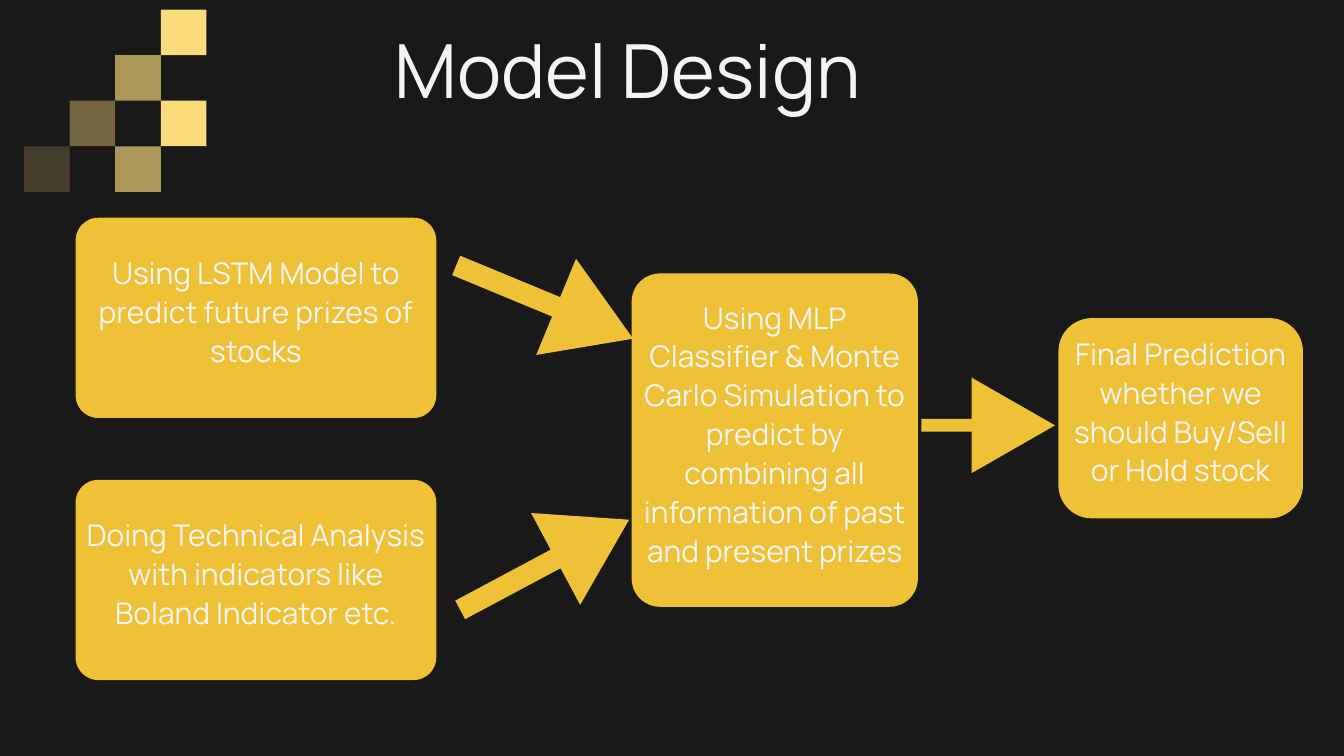
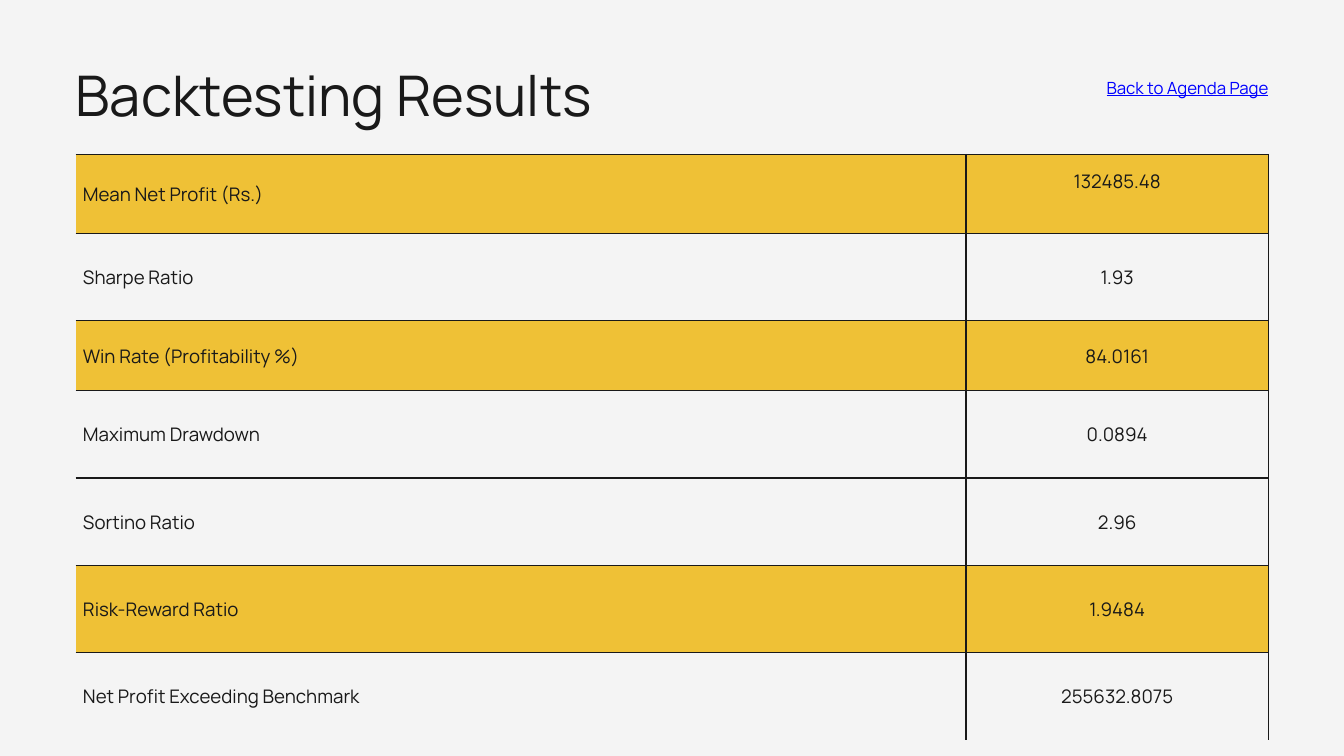
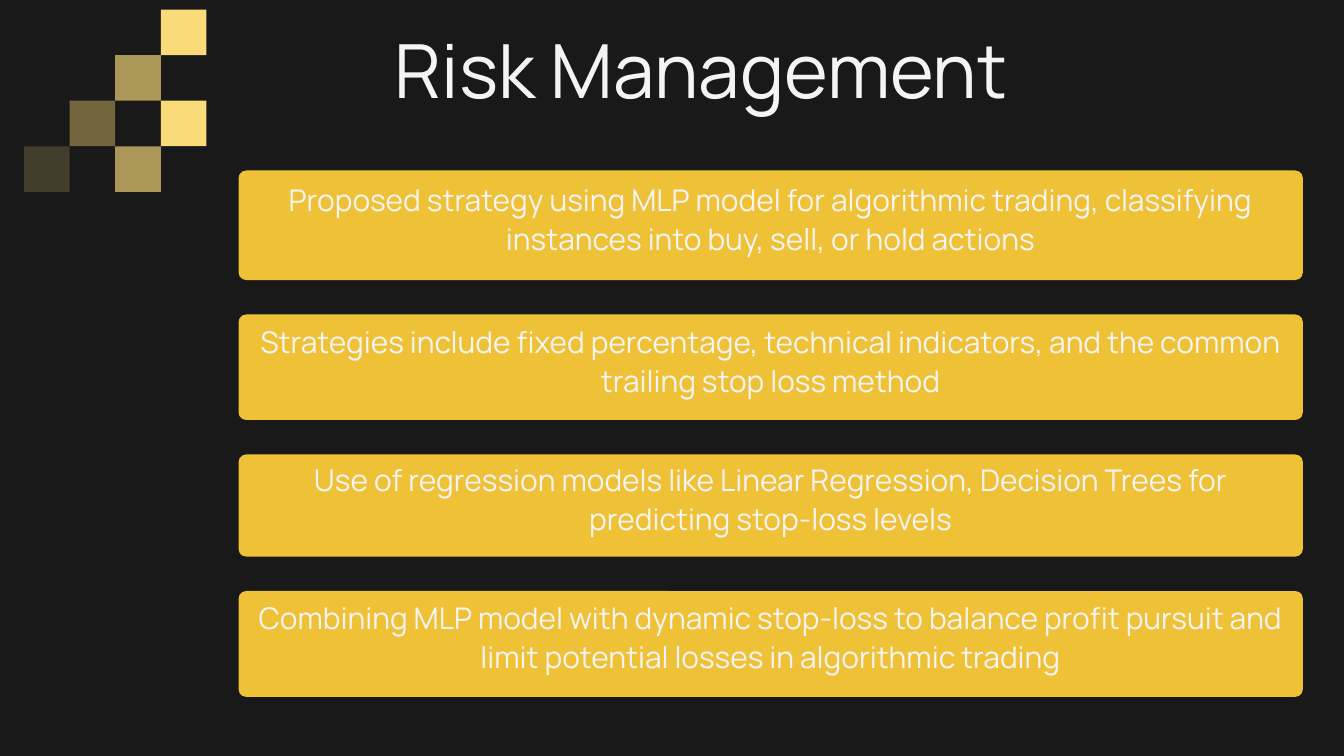
from lxml import etree
from pptx import Presentation
from pptx.dml.color import RGBColor
from pptx.enum.shapes import MSO_SHAPE
from pptx.enum.text import MSO_ANCHOR, MSO_AUTO_SIZE, PP_ALIGN
from pptx.oxml.ns import qn
from pptx.util import Inches, Pt

RECT = MSO_SHAPE.RECTANGLE
ROUND = MSO_SHAPE.ROUNDED_RECTANGLE
ARROW = MSO_SHAPE.RIGHT_ARROW
TOP, MIDDLE = MSO_ANCHOR.TOP, MSO_ANCHOR.MIDDLE
LEFT, CENTER, RIGHT = PP_ALIGN.LEFT, PP_ALIGN.CENTER, PP_ALIGN.RIGHT
FIXED = MSO_AUTO_SIZE.NONE

DARK = RGBColor(0x19, 0x19, 0x19)
LIGHT = RGBColor(0xF4, 0xF4, 0xF4)
GOLD = RGBColor(0xEF, 0xC1, 0x36)
PALE = RGBColor(0xFA, 0xDB, 0x7A)
BLUE = RGBColor(0x00, 0x00, 0xFF)

FONT = "Manrope"
COLS, ROWS = 160, 90
UNIT = Inches(20) / COLS
HEAD = 9.92
LIFT = 1.9

TILES = [(3, 0, 100), (2, 1, 65), (1, 2, 40), (0, 3, 19), (2, 3, 65), (3, 2, 100)]

STEPS = [
    ((0, 0, 42.94, 23.84), 2.7, "Using LSTM Model to predict future prizes of stocks"),
    ((0, 31.2, 42.94, 23.84), 2.7,
     "Doing Technical Analysis with indicators like Boland Indicator etc."),
    ((66.2, 6.64, 34.08, 39.68), 3.36,
     "Using MLP Classifier & Monte Carlo Simulation to predict by combining "
     "all information of past and present prizes"),
    ((117, 11.95, 29.12, 23.84), 3.98,
     "Final Prediction whether we should Buy/Sell or Hold stock"),
]
ARROWS = [
    ((44.44, 3.84, 22.8, 12.4), 2.5, 22.5),
    ((44.44, 35.12, 22.8, 12.4), 2.5, 331.9),
    ((100.68, 19.04, 15.92, 11.36), 1.52, 0),
]
RESULTS = [
    ("Mean Net Profit (Rs.)", "132485.48", 9.4, True),
    ("Sharpe Ratio", "1.93", 10.4, False),
    ("Win Rate (Profitability %)", "84.0161", 8.3, True),
    ("Maximum Drawdown", "0.0894", 10.4, False),
    ("Sortino Ratio", "2.96", 10.4, False),
    ("Risk-Reward Ratio", "1.9484", 10.4, True),
    ("Net Profit Exceeding Benchmark", "255632.8075", 10.4, False),
]
RISKS = [
    (13.04, "Proposed strategy using MLP model for algorithmic trading, "
            "classifying instances into buy, sell, or hold actions"),
    (12.56, "Strategies include fixed percentage, technical indicators, "
            "and the common trailing stop loss method"),
    (12.16, "Use of regression models like Linear Regression, Decision Trees "
            "for predicting stop-loss levels"),
    (12.6, "Combining MLP model with dynamic stop-loss to balance profit pursuit "
           "and limit potential losses in algorithmic trading"),
]


def grid(*sizes):
    return [round(size * UNIT) for size in sizes]


def shift(box, part):
    return box[0] + part[0], box[1] + part[1], part[2], part[3]


def write(frame, text, size, lead, color, align=LEFT):
    frame.text = text
    para = frame.paragraphs[0]
    para.alignment = align
    para.line_spacing = Pt(lead)
    font = para.runs[0].font
    font.name, font.size, font.color.rgb = FONT, Pt(size), color
    return font


def pad(frame, anchor, base=0):
    frame.word_wrap = True
    frame.auto_size = FIXED
    frame.vertical_anchor = anchor
    frame.margin_left = frame.margin_right = frame.margin_top = 0
    frame.margin_bottom = grid(base)[0]


def draw(slide, kind, box, color):
    shape = slide.shapes.add_shape(kind, *grid(*box))
    shape.shadow.inherit = False
    shape.fill.solid()
    shape.fill.fore_color.rgb = color
    shape.line.fill.background()
    return shape


def start(deck, back, title, box, size, color):
    slide = deck.slides.add_slide(deck.slide_layouts[5])
    slide.background.fill.solid()
    slide.background.fill.fore_color.rgb = back
    head = slide.shapes.title
    head.left, head.top, head.width, head.height = grid(*box)
    pad(head.text_frame, TOP)
    write(head.text_frame, title, size, size * 1.2, color)
    return slide


def tiles(slide, box):
    side = box[2] / 4
    for col, row, alpha in TILES:
        tile = draw(slide, RECT, shift(box, (col * side, row * side, side, side)), PALE)
        if alpha < 100:
            color = tile.fill._xPr.find(".//" + qn("a:srgbClr"))
            etree.SubElement(color, qn("a:alpha"), val=str(alpha * 1000))


def night(deck, title, width):
    slide = start(deck, DARK, title, (47, 2.88, width, 11.44), 80, LIGHT)
    tiles(slide, (2.88, 1.15, 21.68, 21.68))
    return slide


def card(slide, box, curve, text):
    shape = draw(slide, ROUND, box, GOLD)
    shape.adjustments[0] = curve / min(box[2:])
    pad(shape.text_frame, MIDDLE, LIFT)
    write(shape.text_frame, text, 32, 41.6, LIGHT, CENTER)


def flow(slide, box):
    for part, curve, text in STEPS:
        card(slide, shift(box, part), curve, text)
    for part, shaft, turn in ARROWS:
        arrow = draw(slide, ARROW, shift(box, part), GOLD)
        arrow.adjustments[0] = shaft / part[3]
        arrow.adjustments[1] = HEAD / part[3]
        arrow.rotation = turn


def stack(slide, box, gap):
    top = 0
    for height, text in RISKS:
        card(slide, shift(box, (0, top, box[2], height)), 0.9, text)
        top += height + gap


def edge(cell, side, shown):
    line = etree.SubElement(cell._tc.get_or_add_tcPr(), qn("a:ln" + side),
                            w=str(Pt(1.5) if shown else 0))
    fill = etree.SubElement(line, qn("a:solidFill" if shown else "a:noFill"))
    if shown:
        etree.SubElement(fill, qn("a:srgbClr"), val=str(DARK))


def chart(slide, box, widths):
    table = slide.shapes.add_table(len(RESULTS), len(widths), *grid(*box)).table
    table.first_row = table.horz_banding = False
    for col, width in zip(table.columns, grid(*widths)):
        col.width = width
    last = len(RESULTS) - 1
    for row, (name, value, height, gold) in enumerate(RESULTS):
        table.rows[row].height = grid(height)[0]
        for col, text in enumerate((name, value)):
            cell = table.cell(row, col)
            for side, shown in (("L", col > 0), ("R", True), ("T", True), ("B", row < last)):
                edge(cell, side, shown)
            if gold:
                cell.fill.solid()
                cell.fill.fore_color.rgb = GOLD
            else:
                cell.fill.background()
            cell.vertical_anchor = MIDDLE
            cell.margin_left = cell.margin_right = Inches(0.11)
            cell.margin_top = cell.margin_bottom = Inches(0.11)
            write(cell.text_frame, text, 20, 28, DARK, CENTER if col else LEFT)
    table.cell(0, 1).margin_bottom = Inches(0.5)


def link(slide, box, text):
    frame = slide.shapes.add_textbox(*grid(*box)).text_frame
    pad(frame, TOP)
    write(frame, text, 18, 25.2, BLUE, RIGHT).underline = True


def main():
    deck = Presentation()
    deck.slide_width, deck.slide_height = grid(COLS, ROWS)

    flow(night(deck, "Model Design", 66.2), (9, 25.92, 146.12, 55.04))

    slide = start(deck, LIGHT, "Backtesting Results", (9, 7.2, 71, 8.6), 60, DARK)
    chart(slide, (9, 18.4, 142, 69.7), (106, 36))
    link(slide, (112.1, 8.8, 38.9, 2.9), "Back to Agenda Page")

    stack(night(deck, "Risk Management", 89.8), (28.4, 20.3, 126.7, 62.6), 4.1)
    deck.save("out.pptx")


if __name__ == "__main__":
    main()
